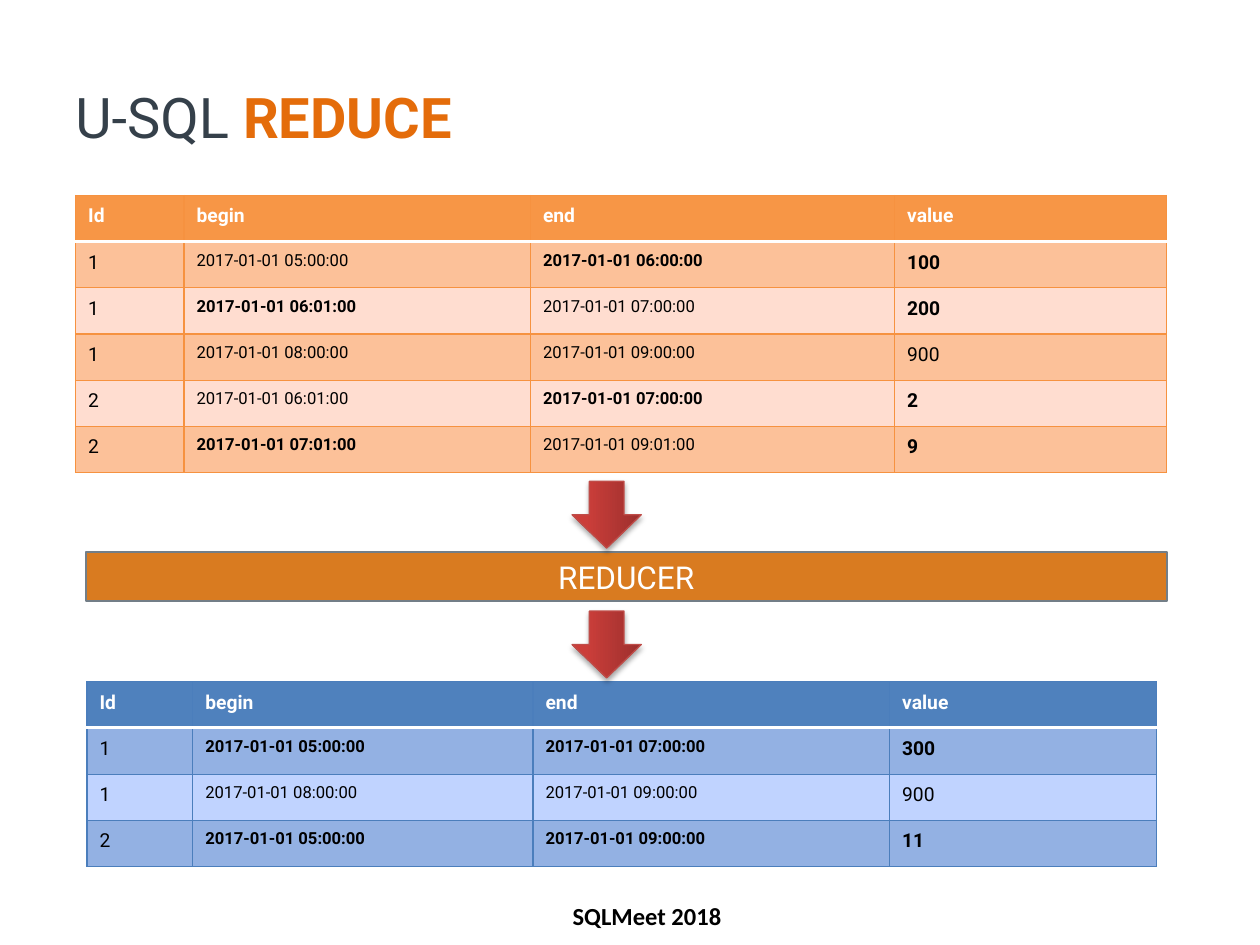
from dataclasses import dataclass

from lxml import etree
from pptx import Presentation
from pptx import util as u
from pptx.dml.color import RGBColor
from pptx.enum import shapes, text
from pptx.oxml import parse_xml
from pptx.oxml.ns import nsdecls, qn


@dataclass(frozen=True)
class Theme:
    font: str = "Roboto"
    footer_font: str = "Calibri"
    dark: str = "35404A"
    accent: str = "E46C0A"
    white: str = "FFFFFF"
    black: str = "000000"
    bar: str = "D97B20"
    bar_line: str = "737E87"
    arrow_dark: str = "9C2F2D"
    arrow_light: str = "CB3E3A"
    arrow_line: str = "BF4C48"
    title_size: float = 32
    bar_size: float = 18
    footer_size: float = 14
    cell_size: float = 11
    date_size: float = 9.5


THEME = Theme()

# Content: a leading * marks a bold cell
HEADER = ("Id", "begin", "end", "value")
TABLES = [
    dict(
        at=(0.6, 1.55), columns=(0.86, 2.75, 2.89, 2.16),
        head="F79646", bands=("FCC199", "FFDDD0"), border="F69240",
        rows=[
            ("1", "2017-01-01 05:00:00", "*2017-01-01 06:00:00", "*100"),
            ("1", "*2017-01-01 06:01:00", "2017-01-01 07:00:00", "*200"),
            ("1", "2017-01-01 08:00:00", "2017-01-01 09:00:00", "900"),
            ("2", "2017-01-01 06:01:00", "*2017-01-01 07:00:00", "*2"),
            ("2", "*2017-01-01 07:01:00", "2017-01-01 09:01:00", "*9"),
        ],
    ),
    dict(
        at=(0.69, 5.41), columns=(0.84, 2.7, 2.83, 2.12),
        head="4F81BD", bands=("93B1E3", "C0D3FF"), border="4B7EBC",
        rows=[
            ("1", "*2017-01-01 05:00:00", "*2017-01-01 07:00:00", "*300"),
            ("1", "2017-01-01 08:00:00", "2017-01-01 09:00:00", "900"),
            ("2", "*2017-01-01 05:00:00", "*2017-01-01 09:00:00", "*11"),
        ],
    ),
]
ROW_HEIGHT = 0.367
DATE_COLUMNS = (1, 2)
ARROW_TOPS = (3.81, 4.84)
NO_STYLE = "{2D5ABB26-0587-4C30-8999-92F81FD0307C}"


def color(value):
    return RGBColor.from_string(value)


def box(left, top, width, height):
    return [u.Inches(value) for value in (left, top, width, height)]


def write(frame, words, size, fill, font=THEME.font, bold=False, align=None,
          anchor=text.MSO_ANCHOR.MIDDLE):
    """Append a run to the first paragraph of a text frame."""
    frame.word_wrap = True
    frame.vertical_anchor = anchor
    paragraph = frame.paragraphs[0]
    paragraph.alignment = align
    run = paragraph.add_run()
    run.text = words
    run.font.size = u.Pt(size)
    run.font.name = font
    run.font.bold = bold
    run.font.color.rgb = color(fill)
    return paragraph


def set_borders(cell, **sides):
    properties = cell._tc.get_or_add_tcPr()
    for index, side in enumerate("LRTB"):
        line_color, width = sides[side]
        properties.insert(index, parse_xml(
            f'<a:ln{side} {nsdecls("a")} w="{u.Pt(width)}"><a:solidFill>'
            f'<a:srgbClr val="{line_color}"/></a:solidFill></a:ln{side}>'))


def add_data_table(slide, at, columns, head, bands, border, rows):
    grid = [HEADER, *rows]
    table = slide.shapes.add_table(
        len(grid), len(columns),
        *box(*at, sum(columns), ROW_HEIGHT * len(grid))).table
    table._tbl.tblPr.find(qn("a:tableStyleId")).text = NO_STYLE
    for column, width in zip(table.columns, columns):
        column.width = u.Inches(width)
    thin, divider = (border, 0.75), (THEME.white, 2)
    for r, values in enumerate(grid):
        table.rows[r].height = u.Inches(ROW_HEIGHT)
        is_head = r == 0
        for c, value in enumerate(values):
            cell = table.cell(r, c)
            is_date = c in DATE_COLUMNS and not is_head
            paragraph = write(
                cell.text_frame, value.lstrip("*"),
                THEME.date_size if is_date else THEME.cell_size,
                THEME.white if is_head else THEME.black,
                bold=is_head or value.startswith("*"),
                anchor=text.MSO_ANCHOR.TOP)
            paragraph.line_spacing = 1.15
            paragraph.space_after = u.Pt(10)
            cell.fill.solid()
            cell.fill.fore_color.rgb = color(head if is_head else bands[(r - 1) % 2])
            set_borders(cell, L=thin, R=thin, T=divider if r == 1 else thin,
                        B=divider if is_head else thin)


def add_shape(slide, kind, at, line, width):
    shape = slide.shapes.add_shape(kind, *box(*at))
    shape.shadow.inherit = False
    shape.line.color.rgb = color(line)
    shape.line.width = u.Pt(width)
    return shape


def add_arrow(slide, top):
    arrow = add_shape(slide, shapes.MSO_SHAPE.LEFT_ARROW,
                      (4.55, top, 0.53, 0.55), THEME.arrow_line, 0.75)
    arrow.rotation = 270
    arrow.fill.gradient()
    arrow.fill.gradient_angle = 90
    stops = ((0, THEME.arrow_dark), (0.8, THEME.arrow_light))
    for stop, (position, value) in zip(arrow.fill.gradient_stops, stops):
        stop.position = position
        stop.color.rgb = color(value)
    effects = arrow._element.spPr.find(qn("a:effectLst"))
    shadow = etree.SubElement(
        effects, qn("a:outerShdw"), blurRad=str(u.Pt(3.1)),
        dist=str(u.Pt(1.8)), dir="5400000", rotWithShape="0")
    tint = etree.SubElement(shadow, qn("a:srgbClr"), val=THEME.black)
    etree.SubElement(tint, qn("a:alpha"), val="35000")


presentation = Presentation()
presentation.slide_width, presentation.slide_height = u.Inches(10), u.Inches(7.5)
slide = presentation.slides.add_slide(presentation.slide_layouts[6])

# Footer and title
footer = slide.shapes.add_textbox(*box(2.19, 7.06, 5.89, 0.42)).text_frame
write(footer, "SQLMeet 2018", THEME.footer_size, THEME.black,
      font=THEME.footer_font, bold=True, align=text.PP_ALIGN.CENTER)
title = slide.shapes.add_textbox(*box(0.5, 0.3, 9, 1.25)).text_frame
write(title, "U-SQL ", THEME.title_size, THEME.dark)
write(title, "REDUCE", THEME.title_size, THEME.accent, bold=True)

# Input and output tables
for data in TABLES:
    add_data_table(slide, **data)

# Reducer bar with an arrow above and below
bar = add_shape(slide, shapes.MSO_SHAPE.RECTANGLE, (0.68, 4.38, 8.58, 0.39),
                THEME.bar_line, 1)
bar.fill.solid()
bar.fill.fore_color.rgb = color(THEME.bar)
write(bar.text_frame, "REDUCER", THEME.bar_size, THEME.white,
      align=text.PP_ALIGN.CENTER)
for top in ARROW_TOPS:
    add_arrow(slide, top)

presentation.save("out.pptx")
